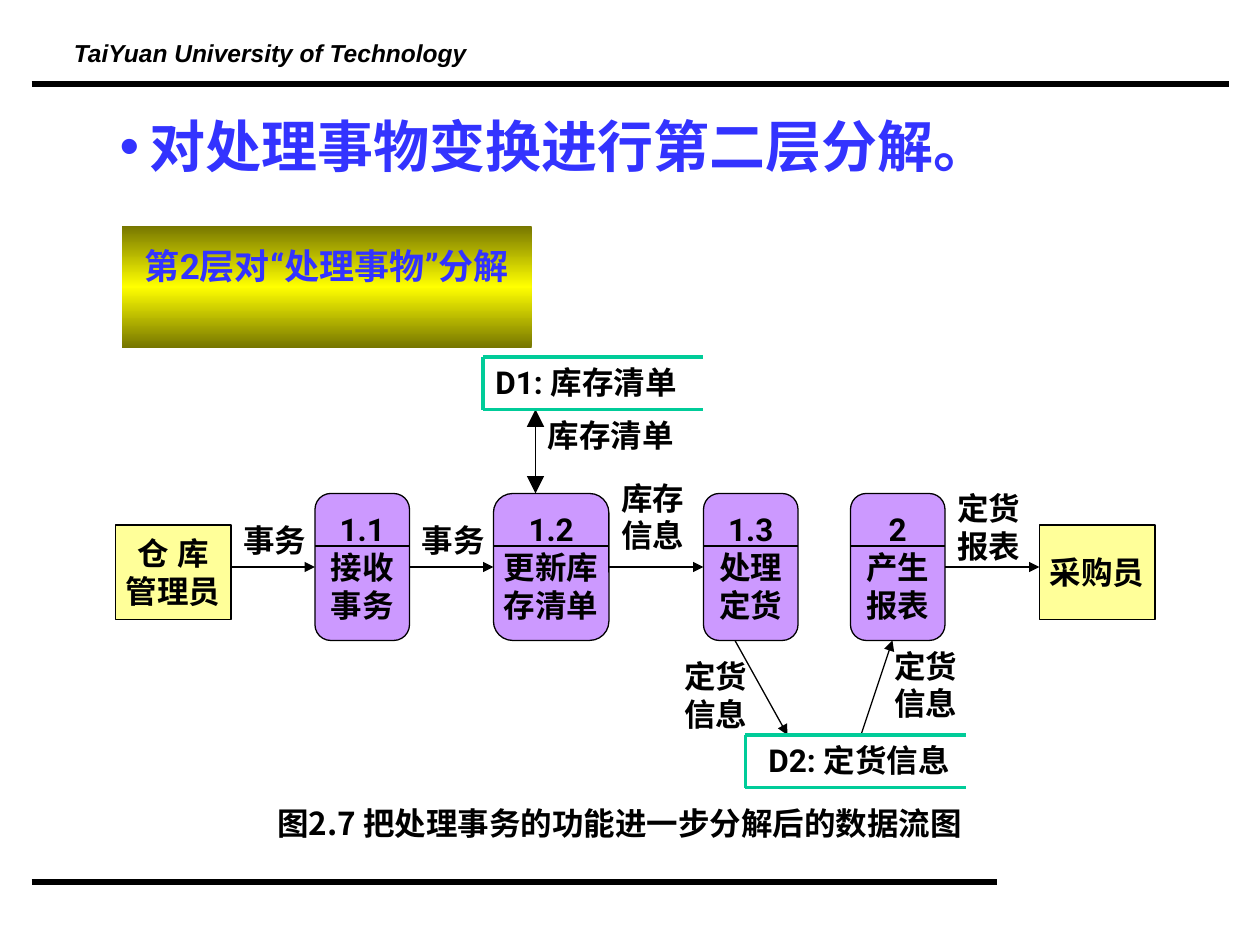
"""Build the slide with the second-level data flow diagram."""
from copy import deepcopy

from lxml import etree
from pptx import Presentation
from pptx.dml.color import RGBColor
from pptx.enum.shapes import MSO_CONNECTOR, MSO_SHAPE
from pptx.enum.text import MSO_ANCHOR, PP_ALIGN
from pptx.oxml.ns import qn
from pptx.util import Cm, Pt

LINE = MSO_CONNECTOR.STRAIGHT
RECT, ROUND = MSO_SHAPE.RECTANGLE, MSO_SHAPE.ROUNDED_RECTANGLE
TOP, MIDDLE = MSO_ANCHOR.TOP, MSO_ANCHOR.MIDDLE
LEFT, CENTER = PP_ALIGN.LEFT, PP_ALIGN.CENTER
LEFT_SIDE, RIGHT_SIDE = 1, 3
UNIT = 2.54 / 12
BLACK, BLUE, GREEN = "000000", "3333FF", "00CC99"
color = RGBColor.from_string


def write(shape, text, size=18, font="Roboto", ink=BLACK, align=LEFT, anchor=TOP, wrap=True):
    """Fill a shape with bold text."""
    frame = shape.text_frame
    frame.text = text
    frame.word_wrap = wrap
    frame.vertical_anchor = anchor
    for para in frame.paragraphs:
        para.alignment = align
        for run in para.runs:
            run.font.size, run.font.name, run.font.bold = Pt(size), font, True
            run.font.color.rgb = color(ink)
            etree.SubElement(run.font._element, qn("a:ea"), typeface=font)


def link(x1, y1, x2, y2, ink=BLACK, width=0.75, ends=(), size="med"):
    """Draw a line between two grid points, with arrowheads at the named ends."""
    wire = slide.shapes.add_connector(
        LINE, Cm(x1 * UNIT), Cm(y1 * UNIT), Cm(x2 * UNIT), Cm(y2 * UNIT))
    wire.line.color.rgb = color(ink)
    wire.line.width = Pt(width)
    for end in ends:
        etree.SubElement(wire.line._get_or_add_ln(), qn(end), type="triangle", w=size, len=size)
    etree.SubElement(wire._element.spPr, qn("a:effectLst"))
    return wire


deck = Presentation()
deck.slide_width, deck.slide_height = Cm(25.4), Cm(19.05)
slide = deck.slides.add_slide(deck.slide_layouts[5])
shapes = slide.shapes

link(3, 84, 95, 84, width=3)
link(3, 8, 117, 8, width=3)
head = shapes.add_textbox(Cm(1.24), Cm(0.81), Cm(8.48), Cm(0.69))
write(head, "TaiYuan University of Technology", 14, "Arial", wrap=False)
head.text_frame.paragraphs[0].line_spacing = 0.7
head.text_frame.paragraphs[0].runs[0].font.italic = True

title = shapes.title
title.left, title.top, title.width, title.height = Cm(2.16), Cm(2.13), Cm(22.43), Cm(1.63)
write(title, "对处理事物变换进行第二层分解。", 32, "Noto Sans CJK JP", BLUE)
props = title.text_frame.paragraphs[0]._p.get_or_add_pPr()
props.set("marL", str(Cm(0.6)))
props.set("indent", str(-Cm(0.6)))
etree.SubElement(props, qn("a:buFont"), typeface="Arial")
etree.SubElement(props, qn("a:buChar"), char="•")

banner = shapes.add_shape(RECT, Cm(2.46), Cm(4.55), Cm(8.26), Cm(2.46))
banner.shadow.inherit = False
banner.line.fill.background()
banner.fill.gradient()
banner.fill.gradient_angle = 90
stops = banner._element.spPr.find(".//" + qn("a:gsLst"))
stops.insert(1, deepcopy(stops[0]))
for stop, (place, ink) in zip(banner.fill.gradient_stops,
                              [(0, "767600"), (0.5, "FFFF00"), (1, "767600")]):
    stop.position = place
    stop.color.rgb = color(ink)
write(banner, "第2层对“处理事物”分解", 20, ink=BLUE, align=CENTER)
banner.text_frame.paragraphs[0].line_spacing = 1.3

nodes = []
for kind, x, y, wide, high, fill, text in [
    (RECT, 11, 50, 11, 9, "FFFF99", "仓 库\n管理员"),
    (ROUND, 30, 47, 9, 14, "CC99FF", "1.1\n接收\n事务"),
    (ROUND, 47, 47, 11, 14, "CC99FF", "1.2\n更新库\n存清单"),
    (ROUND, 67, 47, 9, 14, "CC99FF", "1.3\n处理\n定货"),
    (ROUND, 81, 47, 9, 14, "CC99FF", "2\n产生\n报表"),
    (RECT, 99, 50, 11, 9, "FFFF99", "采购员"),
]:
    node = shapes.add_shape(kind, Cm(x * UNIT), Cm(y * UNIT), Cm(wide * UNIT), Cm(high * UNIT))
    node.shadow.inherit = False
    node.fill.solid()
    node.fill.fore_color.rgb = color(fill)
    node.line.color.rgb = color(BLACK)
    node.line.width = Pt(0.75)
    write(node, text, align=CENTER, anchor=MIDDLE, wrap=False)
    nodes.append(node)
    if kind == ROUND:
        link(x, 52, x + wide, 52)

for x1, x2, start, end in [(22, 30, None, 1), (39, 47, 1, 2), (58, 67, 2, 3), (90, 99, 4, None)]:
    flow = link(x1, 54, x2, 54, ends=["a:tailEnd"])
    if start:
        flow.begin_connect(nodes[start], RIGHT_SIDE)
    if end:
        flow.end_connect(nodes[end], LEFT_SIDE)

link(51, 39, 51, 47, ends=["a:headEnd", "a:tailEnd"], size="lg")
link(70, 61, 75, 70, ends=["a:tailEnd"])
link(82, 70, 85, 61, ends=["a:tailEnd"])

for x, y in [(46, 34), (71, 70)]:
    link(x, y, x + 21, y, GREEN, 2)
    link(x, y, x, y + 5, GREEN, 2)
    link(x, y + 5, x + 21, y + 5, GREEN, 2)

for x, y, wide, high, text in [
    (46, 34, 23.4, 4.8, "D1: 库存清单"),
    (72, 70, 23, 4.8, "D2: 定货信息"),
    (22, 49, 9, 4.8, "事务"),
    (39, 49, 9, 4.8, "事务"),
    (58, 45, 9, 8.4, "库存信息"),
    (64, 62, 9, 8.4, "定货信息"),
    (84, 61, 9, 8.4, "定货信息"),
    (90, 46, 9, 8.4, "定货报表"),
    (51, 39, 17, 4.8, "库存清单"),
]:
    label = shapes.add_textbox(Cm(x * UNIT), Cm(y * UNIT), Cm(wide * UNIT), Cm(high * UNIT))
    write(label, text)

note = shapes.add_textbox(Cm(0.64), Cm(16.08), Cm(23.7), Cm(1.02))
write(note, "图2.7 把处理事务的功能进一步分解后的数据流图", font="Noto Sans CJK SC", align=CENTER)

deck.save("out.pptx")
